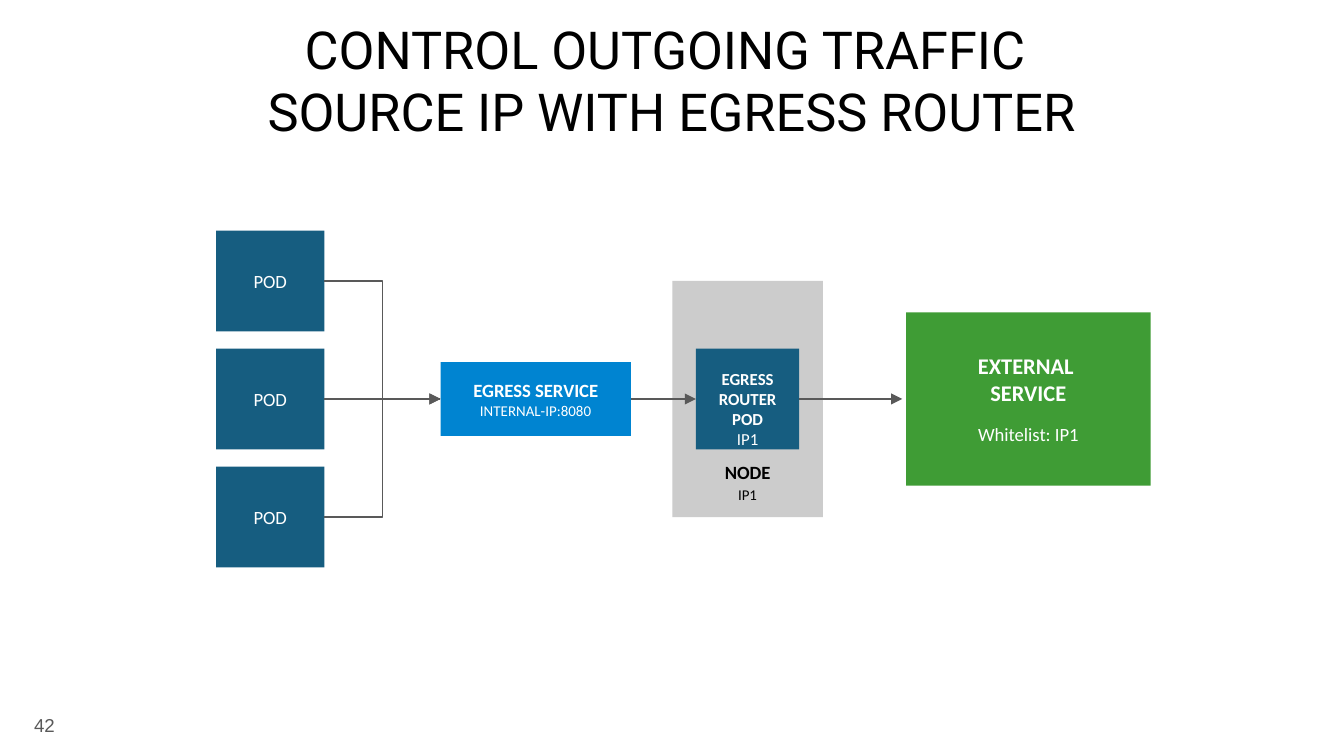
from pptx import Presentation
from pptx.dml.color import RGBColor
from pptx.enum import shapes, text
from pptx.oxml import xmlchemy
from pptx.oxml.ns import qn
from pptx.util import Pt

COLORS = {"pod": "165D80", "service": "0084D1", "external": "3F9C35", "node": "CCCCCC",
          "line": "595959", "black": "000000", "white": "FFFFFF"}
ANCHOR = text.MSO_ANCHOR
ALIGN = text.PP_ALIGN


def color(key):
    """Return the named colour."""
    return RGBColor.from_string(COLORS[key])


def write(frame, lines, ink, font="Calibri", anchor=ANCHOR.MIDDLE, align=ALIGN.CENTER, **spacing):
    """Fill a text frame with (wording, size, bold) lines."""
    layout = {"word_wrap": True, "vertical_anchor": anchor}
    layout.update({f"margin_{side}": Pt(7.2) for side in ("left", "top", "right", "bottom")})
    for key, value in layout.items():
        setattr(frame, key, value)
    for index, (wording, size, bold) in enumerate(lines):
        paragraph = frame.add_paragraph() if index else frame.paragraphs[0]
        for key, value in {"alignment": align, **spacing}.items():
            setattr(paragraph, key, value)
        run = paragraph.add_run()
        run.text = wording
        for key, value in {"name": font, "size": Pt(size), "bold": bold}.items():
            setattr(run.font, key, value)
        run.font.color.rgb = color(ink)


def add_label(slide, box, lines, ink, **style):
    """Place a text box."""
    label = slide.shapes.add_textbox(*map(Pt, box))
    write(label.text_frame, lines, ink, **style)


def add_block(slide, box, fill, lines=(), ink="white", **style):
    """Place a filled rectangle with its wording."""
    block = slide.shapes.add_shape(shapes.MSO_SHAPE.RECTANGLE, *map(Pt, box))
    block.shadow.inherit = False
    block.fill.solid()
    block.fill.fore_color.rgb = color(fill)
    block.line.fill.background()
    write(block.text_frame, lines, ink, **style)
    return block


def add_flow(slide, source, target, elbow=False, arrow=True, gap=0):
    """Link the right side of source to the left side of target, or stop a gap short of it."""
    kind = shapes.MSO_CONNECTOR.ELBOW if elbow else shapes.MSO_CONNECTOR.STRAIGHT
    flow = slide.shapes.add_connector(
        kind, source.left + source.width, source.top + source.height // 2,
        target.left - Pt(gap), target.top + target.height // 2)
    flow.begin_connect(source, 3)
    if not gap:
        flow.end_connect(target, 1)
    flow.line.width = Pt(0.75)
    flow.line.color.rgb = color("line")
    if arrow:
        line = flow.line._get_or_add_ln()
        line.append(xmlchemy.OxmlElement("a:tailEnd"))
        line.find(qn("a:tailEnd")).set("type", "triangle")
    flow._element.spPr.append(xmlchemy.OxmlElement("a:effectLst"))


def add_pods(slide, box, count=3, height=54):
    """Stack equal pods over the full height of the box."""
    left, top, width, total = box
    pitch = (total - height) / (count - 1)
    return [add_block(slide, (left, top + row * pitch, width, height), "pod", [("POD", 10, False)])
            for row in range(count)]


def add_node(slide, box):
    """Draw the node with the egress router pod in its centre and return the pod."""
    left, top, width, height = box
    add_block(slide, box, "node", [("NODE", 10, True), ("IP1", 8, False)], "black",
              anchor=ANCHOR.BOTTOM, line_spacing=1.15)
    pod_width, pod_height = 55.4, 54
    pod_top = top + (height - pod_height) / 2
    router = add_block(slide, (left + (width - pod_width) / 2, pod_top, pod_width, pod_height), "pod")
    lines = [(word, 9, True) for word in ("EGRESS", "ROUTER", "POD")] + [("IP1", 9, False)]
    add_label(slide, (left + 7.6, pod_top + 3.5, width - 15.2, 47), lines, "white", anchor=ANCHOR.TOP)
    return router


def add_diagram(slide, box):
    """Lay out pods, services and node around one horizontal axis."""
    left, top, width, height = box
    axis = top + height / 2

    def centred(offset, part_width, part_height):
        """Return a box that is centred on the axis."""
        return left + offset, axis - part_height / 2, part_width, part_height

    pods = add_pods(slide, (left, top, 58, height))
    router = add_node(slide, centred(244.4, 80.6, 126.6))
    service = add_block(slide, centred(120.2, 102, 39.6), "service",
                        [("EGRESS SERVICE", 10, True), ("INTERNAL-IP:8080", 8, False)])
    external = add_block(slide, centred(width - 131, 131, 92.8), "external",
                         [("EXTERNAL ", 12, True), ("SERVICE", 12, True), ("Whitelist: IP1", 10, False)])
    external.text_frame.paragraphs[-1].space_before = Pt(9)
    add_flow(slide, pods[0], service, elbow=True)
    add_flow(slide, pods[1], service)
    add_flow(slide, pods[2], service, elbow=True, arrow=False)
    add_flow(slide, service, router)
    add_flow(slide, router, external, gap=2)


def main():
    """Build the slide and save it."""
    deck = Presentation()
    deck.slide_width, deck.slide_height = Pt(720), Pt(405)
    slide = deck.slides.add_slide(deck.slide_layouts[6])
    title = [("CONTROL OUTGOING TRAFFIC ", 28, False), ("SOURCE IP WITH EGRESS ROUTER", 28, False)]
    add_label(slide, (64.8, 0, 589.7, 83.5), title, "black", font="Roboto", anchor=ANCHOR.BOTTOM)
    add_diagram(slide, (115.8, 123.5, 500.6, 180.5))
    add_label(slide, (8, 373, 28.4, 31), [("42", 10, False)], "line", font="Arial", align=ALIGN.RIGHT)
    deck.save("out.pptx")


if __name__ == "__main__":
    main()
